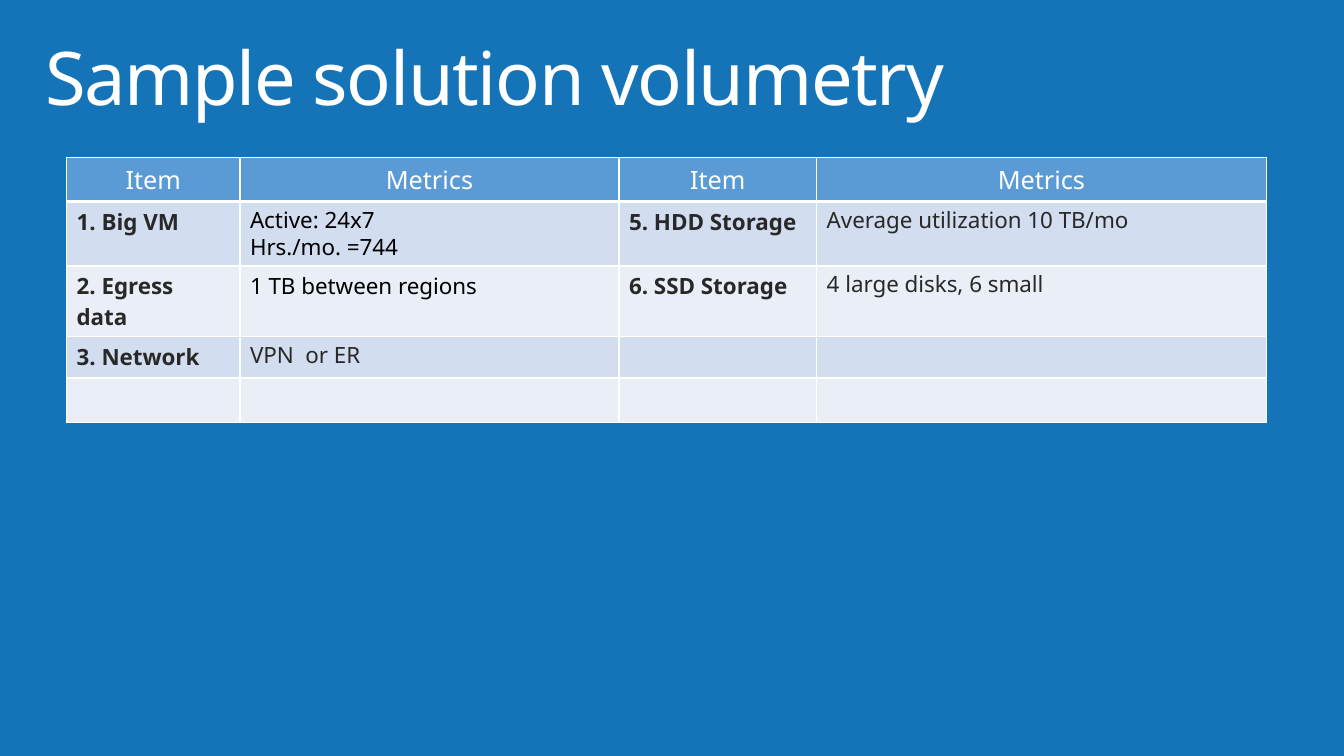
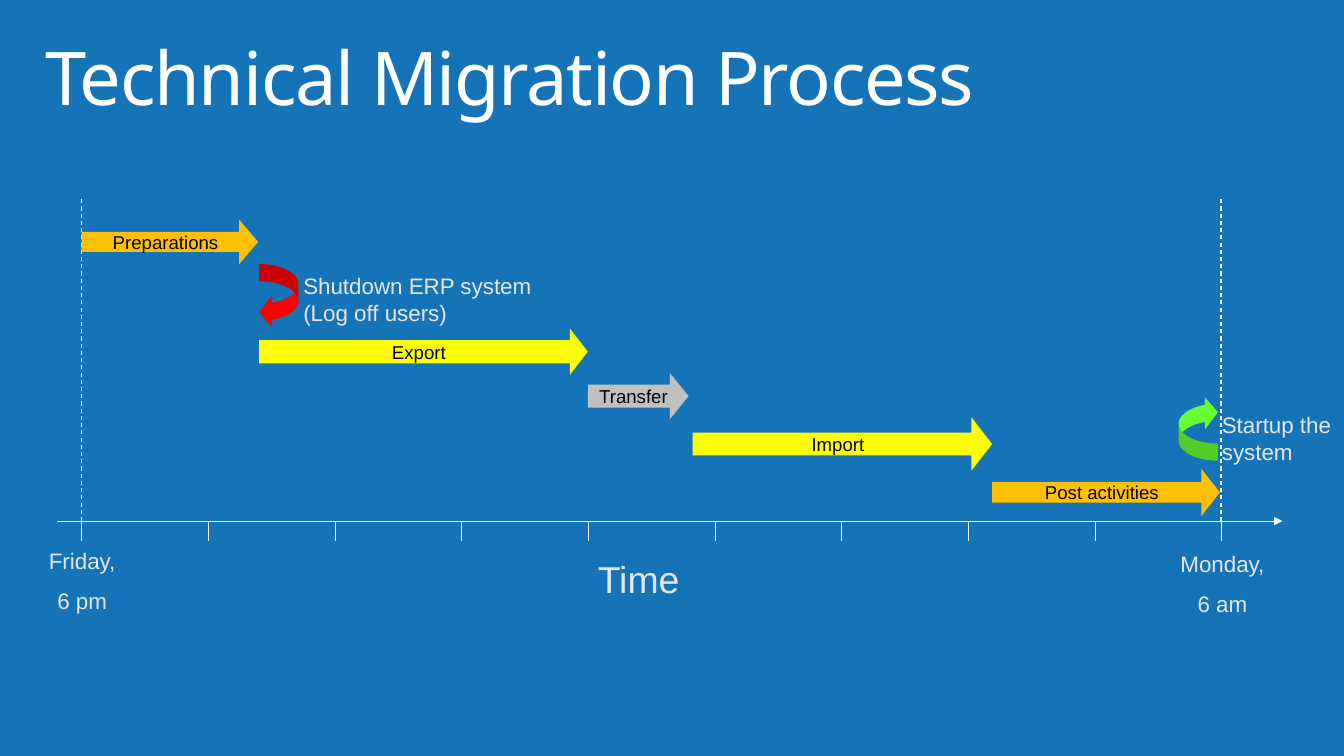
from dataclasses import dataclass

from lxml import etree
from pptx import Presentation
from pptx import util as u
from pptx.dml import color as col
from pptx.enum import dml, shapes, text
from pptx.oxml import ns

HUES = {
    "back": "1574B8", "white": "FFFFFF", "pale": "E7E6E6", "black": "000000",
    "dark": "282828", "head": "5B9BD5", "odd": "D2DEEF", "even": "EAEFF7",
    "gold": "FFC000", "yellow": "FFFF00", "grey": "C0C0C0",
    "red": "FF0000", "green": "66FF33",
}
SANS, ARIAL = "Noto Sans", "Arial"
LEFT, MID = text.PP_ALIGN.LEFT, text.PP_ALIGN.CENTER


@dataclass
class Entry:
    """Wording and look of one table cell."""
    words: str = ""
    hue: str = "dark"
    bold: bool = False
    pitch: float = 0.9


@dataclass
class Phase:
    """One block arrow on the time line."""
    name: str
    box: tuple
    hue: str
    adj: tuple


@dataclass
class Event:
    """A curved arrow with its note."""
    note: str
    box: tuple
    hue: str
    turn: int
    area: tuple


@dataclass
class Label:
    """Centred wording under the time axis."""
    words: str
    box: tuple
    size: float = 16


def rgb(hue):
    """Look up a colour by name."""
    return col.RGBColor.from_string(HUES[hue])


def inches(box):
    """Turn plain numbers into lengths."""
    return [u.Inches(n) for n in box]


def sub(node, tag, **attrs):
    """Append a DrawingML child."""
    return etree.SubElement(node, ns.qn("a:" + tag), attrs)


def write(frame, words, size, font, hue, align=LEFT, bold=False, pitch=None, gap=0):
    """Fill a text frame and format every run."""
    frame.text = words
    for i, para in enumerate(frame.paragraphs):
        para.alignment = align
        if pitch:
            para.line_spacing = pitch
        if i and gap:
            para.space_before = u.Pt(gap)
        for run in para.runs:
            run.font.size = u.Pt(size)
            run.font.name = font
            run.font.bold = bold
            run.font.color.rgb = rgb(hue)


def add_text(slide, box, words, size, hue="pale", font=ARIAL, **more):
    """Add a wrapping text box and return its frame."""
    frame = slide.shapes.add_textbox(*inches(box)).text_frame
    frame.word_wrap = True
    write(frame, words, size, font, hue, **more)
    return frame


def add_slide(deck, title):
    """Add a blue slide with the shared title style."""
    slide = deck.slides.add_slide(deck.slide_layouts[6])
    slide.background.fill.solid()
    slide.background.fill.fore_color.rgb = rgb("back")
    frame = add_text(slide, (0.29, 0.32, 12.62, 0.98), title, 52.9, "white", SANS, pitch=0.9)
    frame.margin_left = frame.margin_right = u.Inches(0.16)
    frame.margin_top = frame.margin_bottom = u.Inches(0.1)
    frame.vertical_anchor = text.MSO_ANCHOR.MIDDLE
    frame.paragraphs[0].runs[0].font._element.set("spc", "-100")
    return slide


def add_line(slide, start, end, dash=False, arrow=False):
    """Draw a thin white line."""
    line = slide.shapes.add_connector(
        shapes.MSO_CONNECTOR.STRAIGHT, *inches(start + end))
    line.line.color.rgb = rgb("white")
    line.line.width = u.Pt(0.75)
    if dash:
        line.line.dash_style = dml.MSO_LINE.DASH
    if arrow:
        sub(line.line._get_or_add_ln(), "tailEnd", type="triangle")
    sub(line._element.spPr, "effectLst")


def add_arrow(slide, kind, box, hue, adj):
    """Draw a filled block arrow."""
    arrow = slide.shapes.add_shape(kind, *inches(box))
    arrow.shadow.inherit = False
    arrow.fill.solid()
    arrow.fill.fore_color.rgb = rgb(hue)
    arrow.line.fill.background()
    for i, part in enumerate(adj):
        arrow.adjustments[i] = part
    return arrow


def add_phase(slide, phase):
    """Draw a named phase arrow."""
    arrow = add_arrow(slide, shapes.MSO_SHAPE.RIGHT_ARROW, phase.box, phase.hue, phase.adj)
    frame = arrow.text_frame
    frame.word_wrap = False
    frame.vertical_anchor = text.MSO_ANCHOR.MIDDLE
    write(frame, phase.name, 13.3, ARIAL, "black", MID)


def add_event(slide, event):
    """Draw a curved arrow and its note."""
    arrow = add_arrow(slide, shapes.MSO_SHAPE.CURVED_LEFT_ARROW, event.box, event.hue,
                      (0.435, 0.871, 0.333))
    arrow.rotation = event.turn
    add_text(slide, event.area, event.note, 16)


def style_cell(cell, fill, base=1):
    """Fill a cell and rule its four sides in white."""
    cell.fill.solid()
    cell.fill.fore_color.rgb = rgb(fill)
    props = cell._tc.get_or_add_tcPr()
    for i, side in enumerate("LRTB"):
        width = u.Pt(base if side == "B" else 1)
        rule = sub(props, "ln" + side, w=str(width))
        sub(sub(rule, "solidFill"), "srgbClr", val=HUES["white"])
        props.insert(i, rule)


def add_grid(slide, heads, rows, cols, tall):
    """Draw the table of items and metrics."""
    table = slide.shapes.add_table(
        len(tall), len(cols), *inches((0.66, 1.56, sum(cols), sum(tall)))).table
    table.horz_banding = False
    for i, wide in enumerate(cols):
        table.columns[i].width = u.Inches(wide)
    for i, high in enumerate(tall):
        table.rows[i].height = u.Inches(high)
    for i, head in enumerate(heads):
        cell = table.cell(0, i)
        style_cell(cell, "head", 3)
        write(cell.text_frame, head, 18, SANS, "white", MID)
    for r, row in enumerate(rows, 1):
        for c, item in enumerate(row):
            cell = table.cell(r, c)
            style_cell(cell, "odd" if r % 2 else "even")
            if item.words:
                write(cell.text_frame, item.words, 16, SANS, item.hue,
                      bold=item.bold, pitch=item.pitch)


def name(words):
    """Make a bold item entry."""
    return Entry(words, bold=True, pitch=1.0)


ROWS = [
    [name("1. Big VM"), Entry("Active: 24x7\nHrs./mo. =744", "black"),
     name("5. HDD Storage"), Entry("Average utilization 10 TB/mo")],
    [name("2. Egress data"), Entry("1 TB between regions", "black", pitch=1.0),
     name("6. SSD Storage"), Entry("4 large disks, 6 small")],
    [name("3. Network"), Entry("VPN  or ER"), Entry(), Entry()],
    [Entry()] * 4,
]
PHASES = [
    Phase("Preparations", (0.81, 2.18, 1.75, 0.44), "gold", (0.452, 0.425)),
    Phase("Export", (2.57, 3.26, 3.26, 0.46), "yellow", (0.5, 0.386)),
    Phase("Transfer", (5.83, 3.7, 1, 0.46), "grey", (0.5, 0.404)),
    Phase("Import", (6.87, 4.14, 2.97, 0.53), "yellow", (0.423, 0.387)),
    Phase("Post activities", (9.84, 4.65, 2.26, 0.47), "gold", (0.433, 0.392)),
]
EVENTS = [
    Event("Shutdown ERP system (Log off users)", (2.57, 2.62, 0.39, 0.64), "red", 0,
          (2.91, 2.65, 2.54, 0.64)),
    Event("Startup the system", (11.69, 3.93, 0.39, 0.64), "green", 180,
          (12.02, 4.03, 1.51, 0.64)),
]
LABELS = [
    Label("Friday,\n6 pm", (0.05, 5.38, 1.53, 0.77)),
    Label("Monday,\n6 am", (11.36, 5.41, 1.53, 0.77)),
    Label("Time", (5.12, 5.47, 2.43, 0.55), 26.7),
]
START, STOP, AXIS, TICKS = 0.81, 12.12, 5.17, 10


def add_plan(slide):
    """Draw the time axis with its phases and events."""
    add_line(slide, (0.57, AXIS), (12.72, AXIS), arrow=True)
    for i in range(TICKS):
        x = START + i * (STOP - START) / (TICKS - 1)
        add_line(slide, (x, AXIS + 0.01), (x, AXIS + 0.2))
    for x in (START, STOP - 0.01):
        add_line(slide, (x, AXIS), (x, 1.95), dash=True)
    for phase in PHASES:
        add_phase(slide, phase)
    for event in EVENTS:
        add_event(slide, event)
    for label in LABELS:
        add_text(slide, label.box, label.words, label.size, align=MID, gap=9)


def main():
    """Build and save the deck."""
    deck = Presentation()
    deck.slide_width, deck.slide_height = inches((13.33, 7.5))
    add_grid(add_slide(deck, "Sample solution volumetry"), ["Item", "Metrics"] * 2, ROWS,
             (1.72, 3.76, 1.96, 4.46), (0.44, 0.64, 0.7, 0.41, 0.44))
    add_plan(add_slide(deck, "Technical Migration Process"))
    deck.save("out.pptx")


main()
